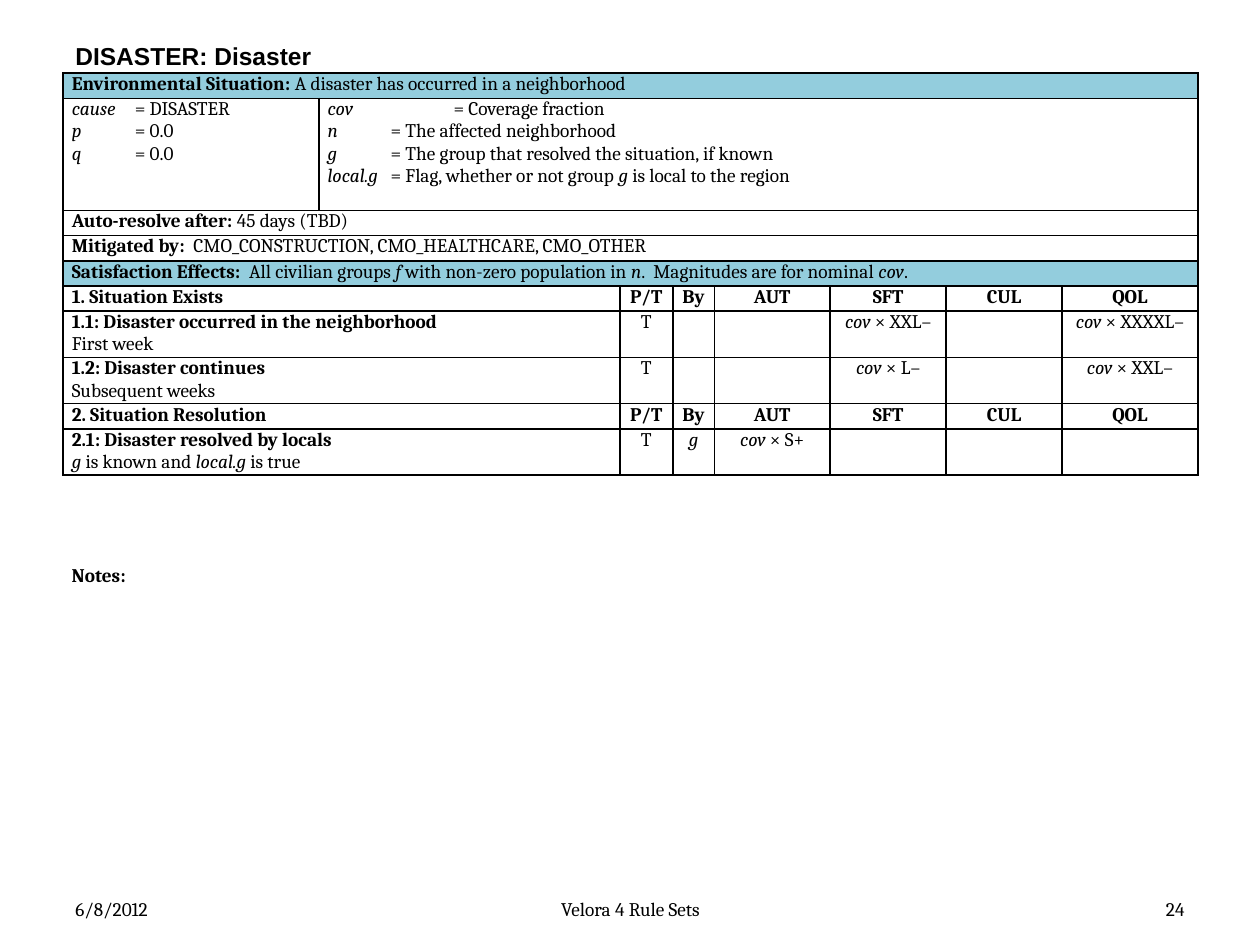
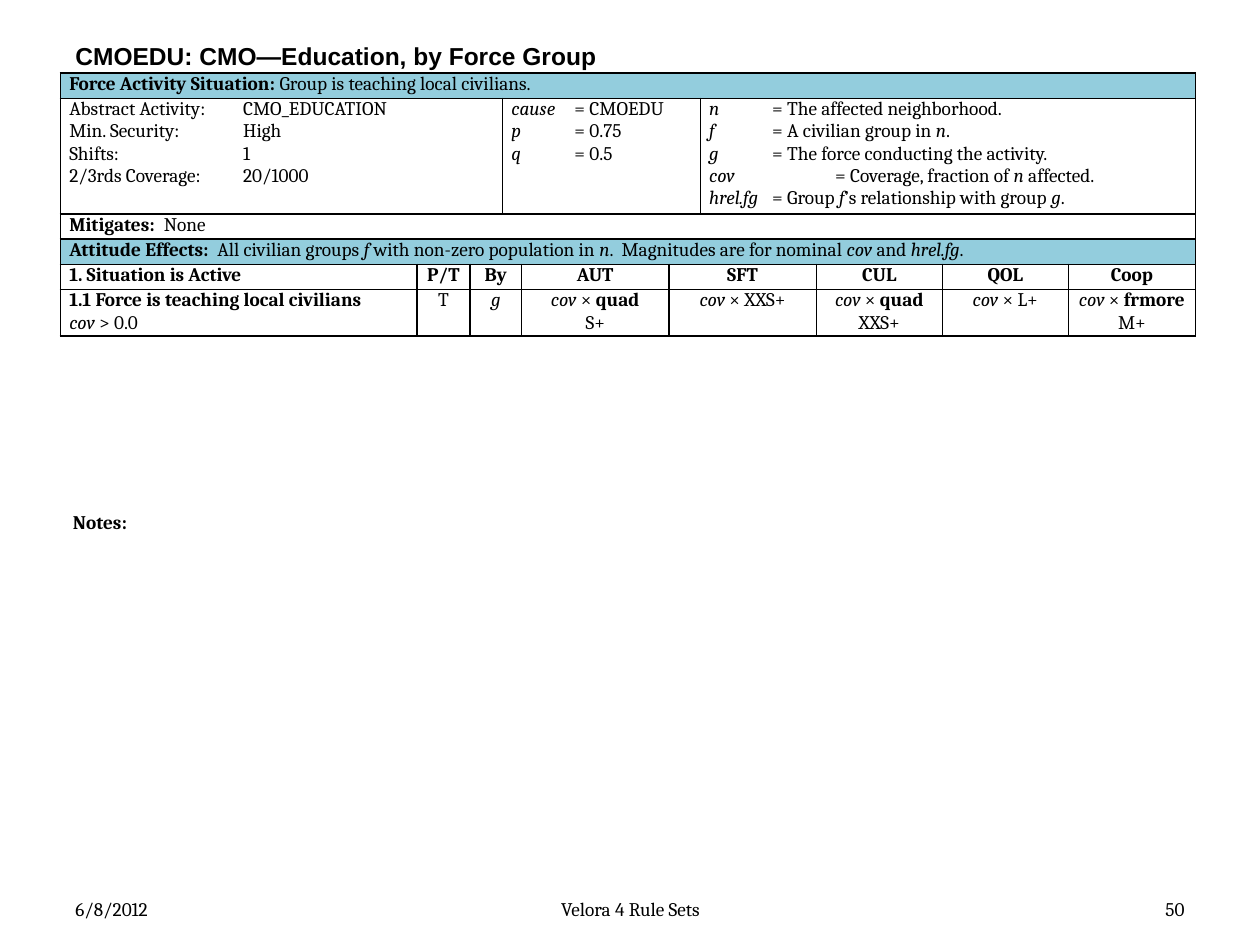
from lxml import etree
from pptx import Presentation
from pptx.dml.color import RGBColor
from pptx.enum.text import MSO_ANCHOR, PP_ALIGN
from pptx.oxml.ns import qn
from pptx.util import Inches, Pt

LEFT, CENTER, RIGHT = PP_ALIGN.LEFT, PP_ALIGN.CENTER, PP_ALIGN.RIGHT
TOP, MIDDLE = MSO_ANCHOR.TOP, MSO_ANCHOR.MIDDLE
BLACK, WHITE, BAND = "000000", "FFFFFF", "93CDDD"
BODY_FONT, TITLE_FONT = "Cambria", "Arial"
LINE, DETAILS, RULE = 0.2, 0.89, 0.35


def write(frame, text, align=LEFT, tab=None, font=BODY_FONT, size=11):
    frame.word_wrap = True
    for number, line in enumerate(text.split("\n")):
        paragraph = frame.add_paragraph() if number else frame.paragraphs[0]
        paragraph.alignment = align
        paragraph.font.name = font
        paragraph.font.size = Pt(size)
        paragraph.font.color.rgb = RGBColor.from_string(BLACK)
        for bold, stretch in enumerate(line.split("*")):
            for italic, words in enumerate(stretch.split("~")):
                if words:
                    run = paragraph.add_run()
                    run.text = words
                    run.font.bold = bold % 2 == 1
                    run.font.italic = italic % 2 == 1
        if tab:
            stops = etree.Element(qn("a:tabLst"))
            for position in (tab, 2 * tab):
                etree.SubElement(stops, qn("a:tab"), pos=str(Inches(position)), algn="l")
            paragraph._p.get_or_add_pPr().insert(0, stops)


def add_label(slide, box, text, align=LEFT, anchor=MIDDLE, **style):
    label = slide.shapes.add_textbox(*map(Inches, box))
    label.text_frame.vertical_anchor = anchor
    write(label.text_frame, text, align, **style)


disaster_columns = [2, 1, 1, 1, 1, 1, 1]
education_columns = [1, 1, 2, 1, 2, 1, 1, 1]
effect_heads = ["*P/T*", "*By*", "*AUT*", "*SFT*", "*CUL*", "*QOL*"]

disaster_rows = [
    (LINE, BAND, [8], ["*Environmental Situation:* A disaster has occurred in a neighborhood"], [None]),
    (DETAILS, WHITE, [1, 7], [
        "~cause~\t= DISASTER\n~p~\t= 0.0\n~q~\t= 0.0",
        "~cov~\t\t= Coverage fraction\n"
        "~n~\t= The affected neighborhood\n"
        "~g~\t= The group that resolved the situation, if known\n"
        "~local.g~\t= Flag, whether or not group ~g~ is local to the region",
    ], [0.5, 0.5]),
    (LINE, WHITE, [8], ["*Auto-resolve after:* 45 days (TBD)"], [None]),
    (LINE, WHITE, [8], ["*Mitigated by:*  CMO_CONSTRUCTION, CMO_HEALTHCARE, CMO_OTHER"], [None]),
    (LINE, BAND, [8], [
        "*Satisfaction Effects:  *All civilian groups ~f ~with non-zero population in ~n~."
        "  Magnitudes are for nominal ~cov~."], [None]),
    (LINE, WHITE, disaster_columns, ["*1. Situation Exists*"] + effect_heads, None),
    (RULE, WHITE, disaster_columns, [
        "*1.1: Disaster occurred in the neighborhood*\nFirst week",
        "T", "", "", "~cov~ × XXL–", "", "~cov~ × XXXXL–"], None),
    (RULE, WHITE, disaster_columns, [
        "*1.2: Disaster continues*\nSubsequent weeks",
        "T", "", "", "~cov~ × L–", "", "~cov~ × XXL–"], None),
    (LINE, WHITE, disaster_columns, ["*2. Situation Resolution*"] + effect_heads, None),
    (RULE, WHITE, disaster_columns, [
        "*2.1: Disaster resolved by locals*\n~g~ is known and ~local.g~ is true",
        "T", "~g~", "~cov~ × S+", "", "", ""], None),
]

education_rows = [
    (LINE, BAND, [10], ["*Force Activity Situation:* Group is teaching local civilians."], [None]),
    (DETAILS, WHITE, [3, 3, 4], [
        "Abstract Activity:\tCMO_EDUCATION\nMin. Security:\tHigh\n"
        "Shifts:\t1\n2/3rds Coverage:\t20/1000",
        "~cause~\t= CMOEDU\n~p~\t= 0.75\n~q~\t= 0.5",
        "~n~\t= The affected neighborhood.\n"
        "~f~\t= A civilian group in ~n~.\n"
        "~g~\t= The force conducting the activity.\n"
        "~cov~\t\t= Coverage, fraction of ~n~ affected.\n"
        "~hrel.fg~\t= Group ~f~’s relationship with group ~g~.",
    ], [1.38, 0.5, 0.5]),
    (LINE, WHITE, [10], ["*Mitigates:*\tNone"], [0.75]),
    (LINE, BAND, [10], [
        "*Attitude Effects:  *All civilian groups ~f ~with non-zero population in ~n~."
        "  Magnitudes are for nominal ~cov ~and ~hrel.fg~."], [None]),
    (LINE, WHITE, education_columns,
     ["*1. Situation is Active*"] + effect_heads + ["*Coop*"], None),
    (RULE, WHITE, education_columns, [
        "*1.1 Force is teaching local civilians*\n~cov~ > 0.0",
        "T", "~g~", "~cov~ × *quad*\nS+", "~cov~ × XXS+", "~cov~ × *quad*\nXXS+",
        "~cov~ × L+", "~cov~ × *frmore*\nM+"], None),
]

rule_sets = [
    ("DISASTER: Disaster", "24", 0.5,
     [2.03, 2.39, 0.42, 0.33, 0.92, 0.92, 0.92, 1.08], disaster_rows, (0.47, 4.42)),
    ("CMOEDU: CMO—Education, by Force Group", "50", 0.48,
     [2.83, 0.42, 0.26, 0.15, 1.17, 0.25, 0.92, 1, 1, 1.01], education_rows, (0.48, 4)),
]

deck = Presentation()
deck.slide_width, deck.slide_height = Inches(10), Inches(7.5)

for title, page, table_left, widths, rows, notes_corner in rule_sets:
    slide = deck.slides.add_slide(deck.slide_layouts[6])
    add_label(slide, (0.5, 0.3, 9, 0.28), f"*{title}*", font=TITLE_FONT, size=14)
    add_label(slide, (0.5, 7.08, 2.33, 0.27), "6/8/2012")
    add_label(slide, (3.42, 7.08, 3.17, 0.27), "Velora 4 Rule Sets", CENTER)
    add_label(slide, (7.17, 7.08, 2.33, 0.27), page, RIGHT)

    height = sum(row[0] for row in rows)
    rules = slide.shapes.add_table(
        len(rows), len(widths), Inches(table_left), Inches(0.58),
        Inches(sum(widths)), Inches(height)).table
    rules.first_row = rules.horz_banding = False
    for column, width in zip(rules.columns, widths):
        column.width = Inches(width)

    for r, (row_height, fill, spans, texts, tabs) in enumerate(rows):
        rules.rows[r].height = Inches(row_height)
        for cell in rules.rows[r].cells:
            cell.margin_left = cell.margin_right = Inches(0.07)
            cell.margin_top = cell.margin_bottom = 0
            cell.fill.solid()
            cell.fill.fore_color.rgb = RGBColor.from_string(fill)
            for order, side in enumerate(("a:lnL", "a:lnR", "a:lnT", "a:lnB")):
                border = etree.Element(qn(side), w=str(Pt(1)))
                ink = etree.SubElement(border, qn("a:solidFill"))
                etree.SubElement(ink, qn("a:srgbClr"), val=BLACK)
                cell._tc.get_or_add_tcPr().insert(order, border)
        c = 0
        for n, (span, text) in enumerate(zip(spans, texts)):
            cell = rules.cell(r, c)
            if span > 1:
                cell.merge(rules.cell(r, c + span - 1))
            align = CENTER if n and not tabs else LEFT
            write(cell.text_frame, text, align, tabs[n] if tabs else None)
            c += span

    add_label(slide, (*notes_corner, 9.08, 0.29), "*Notes:*", anchor=TOP)

deck.save("out.pptx")
